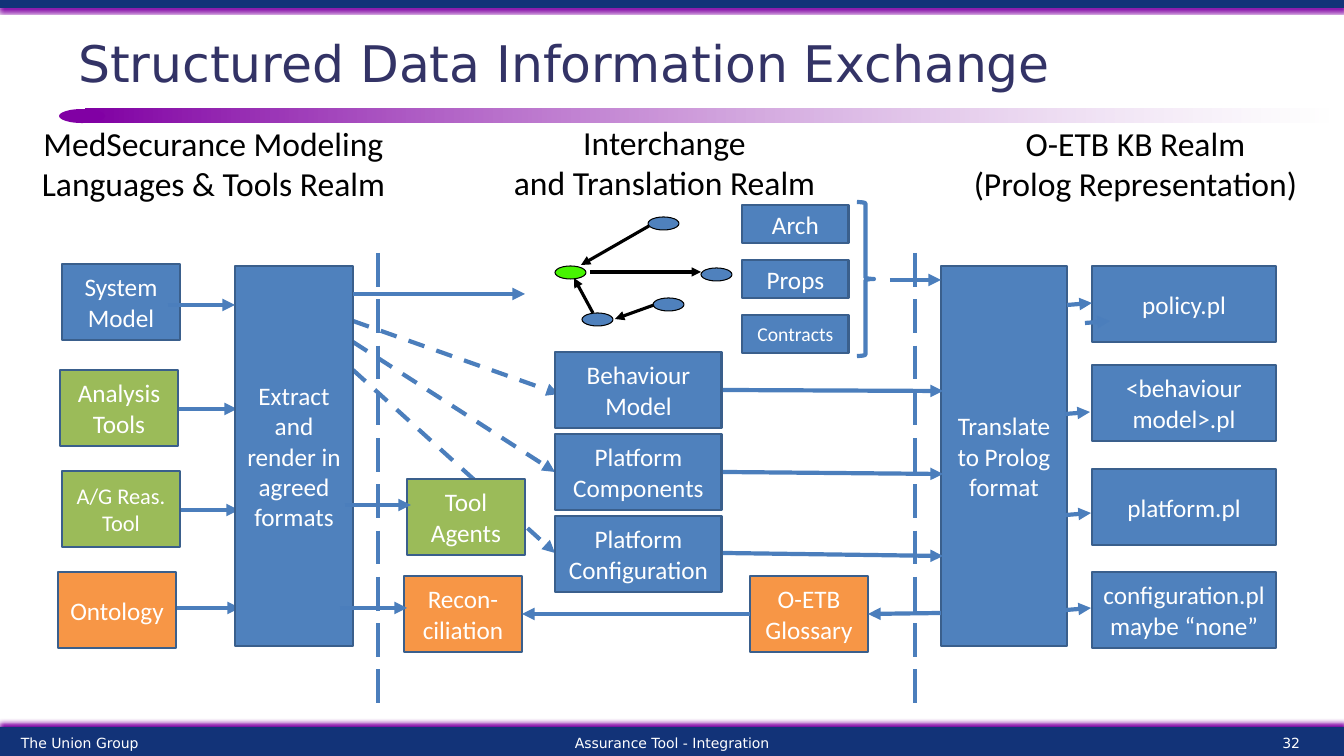
from lxml import etree
from pptx import Presentation
from pptx.dml.color import RGBColor
from pptx.enum.dml import MSO_LINE
from pptx.enum.shapes import MSO_CONNECTOR, MSO_SHAPE
from pptx.enum.text import MSO_ANCHOR, PP_ALIGN
from pptx.oxml.ns import qn
from pptx.util import Emu, Pt

EMU_PER_PX = 914400 / 100.8
BLUE, GREEN, ORANGE = "4F81BD", "9BBB59", "F79646"
ARROW, BORDER = "4B7EBC", "3A5F8C"
NAVY, PURPLE = "123378", "8100A4"


def px(n):
    return Emu(round(n * EMU_PER_PX))


def rgb(value):
    return RGBColor.from_string(value)


def write(tf, text, size=18, font="Calibri", color="FFFFFF",
          align=PP_ALIGN.CENTER, anchor=MSO_ANCHOR.MIDDLE, wrap=True):
    tf.word_wrap = wrap
    tf.vertical_anchor = anchor
    p = tf.paragraphs[0]
    p.text = text
    p.alignment = align
    for r in p.runs:
        r.font.size = Pt(size)
        r.font.name = font
        r.font.color.rgb = rgb(color)


class Deck:
    heading_font = "DejaVu Sans"

    def __init__(self, width, height):
        self.prs = Presentation()
        self.prs.slide_width, self.prs.slide_height = px(width), px(height)
        self.s = self.prs.slides.add_slide(self.prs.slide_layouts[5])

    def title(self, text, x, y, w, h):
        sp = self.s.shapes.title
        sp.left, sp.top, sp.width, sp.height = px(x), px(y), px(w), px(h)
        write(sp.text_frame, text, size=36, font=self.heading_font,
              color="333366", align=PP_ALIGN.LEFT)

    def shape(self, kind, x, y, w, h, fill=None, line=None, weight=2):
        sp = self.s.shapes.add_shape(kind, px(x), px(y), px(w), px(h))
        sp.shadow.inherit = False
        if fill:
            sp.fill.solid()
            sp.fill.fore_color.rgb = rgb(fill)
        else:
            sp.fill.background()
        if line:
            sp.line.color.rgb = rgb(line)
            sp.line.width = Pt(weight)
        else:
            sp.line.fill.background()
        return sp

    def box(self, text, x, y, w=118, h=76, fill=BLUE, size=18):
        sp = self.shape(MSO_SHAPE.RECTANGLE, x, y, w, h, fill, BORDER)
        write(sp.text_frame, text, size=size)

    def bar(self, y, h, distance, angle):
        sp = self.shape(MSO_SHAPE.RECTANGLE, 0, y, 1344, h, NAVY)
        effects = sp._element.spPr.find(qn("a:effectLst"))
        shadow = etree.SubElement(effects, qn("a:outerShdw"), blurRad=str(Pt(3)),
                                  dist=str(Pt(distance)), dir=str(angle * 60000))
        etree.SubElement(shadow, qn("a:srgbClr"), val=PURPLE)

    def rule(self, x, y, w, h):
        sp = self.shape(MSO_SHAPE.RECTANGLE, x, y, w, h, PURPLE)
        sp.fill.gradient()
        sp.fill.gradient_angle = 0
        for stop, color in zip(sp.fill.gradient_stops, (PURPLE, "FFFFFF")):
            stop.color.rgb = rgb(color)
        white = sp._element.spPr.findall(".//" + qn("a:srgbClr"))[-1]
        etree.SubElement(white, qn("a:alpha"), val="50000")

    def text(self, text, x, y, w, h, **fmt):
        sp = self.s.shapes.add_textbox(px(x), px(y), px(w), px(h))
        write(sp.text_frame, text, **fmt)

    def line(self, x1, y1, x2, y2, color=ARROW, weight=3, dash=None, arrow=True):
        c = self.s.shapes.add_connector(MSO_CONNECTOR.STRAIGHT,
                                        px(x1), px(y1), px(x2), px(y2))
        c.line.color.rgb = rgb(color)
        c.line.width = Pt(weight)
        if dash:
            c.line.dash_style = dash
        if arrow:
            etree.SubElement(c.line._get_or_add_ln(), qn("a:tailEnd"), type="triangle")
        etree.SubElement(c._element.spPr, qn("a:effectLst"))


def add_frame(deck):
    deck.bar(0, 8, 2, 90)
    deck.bar(727, 29, 3, 270)
    deck.rule(85, 109, 1244, 14)
    deck.shape(MSO_SHAPE.OVAL, 59, 109, 46, 14, PURPLE)
    deck.title("Structured Data Information Exchange", 68, 15, 1109, 95)
    for text, x, w, align in (("The Union Group", 11, 313, PP_ALIGN.LEFT),
                              ("Assurance Tool - Integration", 336, 672, PP_ALIGN.CENTER),
                              ("32", 1153, 157, PP_ALIGN.RIGHT)):
        deck.text(text, x, 730, w, 26, size=10, font=deck.heading_font, align=align)


def add_realms(deck):
    for text, x, y, w in (("MedSecurance Modeling\nLanguages & Tools Realm", 30, 118, 367),
                          ("Interchange\nand Translation Realm", 502, 117, 325),
                          ("O-ETB KB Realm\n(Prolog Representation)", 962, 118, 347)):
        deck.text(text, x, y, w, 92, size=24, color="000000",
                  anchor=MSO_ANCHOR.TOP, wrap=False)
    for x in (378, 915):
        deck.line(x, 253, x, 714, dash=MSO_LINE.LONG_DASH, arrow=False)


def add_graph(deck):
    for x, y, fill in ((555, 266, "47F402"), (582, 313, BLUE), (653, 298, BLUE),
                       (701, 268, BLUE), (648, 217, BLUE)):
        deck.shape(MSO_SHAPE.OVAL, x, y, 31, 13, fill, "000000", 0.75)
    for ends in ((649, 226, 581, 265), (590, 272, 701, 272),
                 (593, 313, 574, 278), (654, 305, 615, 319)):
        deck.line(*ends, color="000000", weight=2.25)


def add_boxes(deck):
    deck.box("System Model", 62, 264)
    deck.box("Analysis Tools", 60, 370, fill=GREEN)
    deck.box("A/G Reas. Tool", 62, 471, fill=GREEN, size=16)
    deck.box("Ontology", 58, 572, fill=ORANGE)
    deck.box("Extract and render in agreed formats", 235, 266, h=380)
    deck.box("Translate to Prolog format", 941, 266, w=126, h=380)
    deck.box("Tool Agents", 407, 479, fill=GREEN)
    deck.box("Recon-ciliation", 404, 576, fill=ORANGE)
    deck.box("O-ETB Glossary", 750, 576, fill=ORANGE)
    for i, text in enumerate(("Behaviour Model", "Platform Components",
                              "Platform Configuration")):
        deck.box(text, 555, 352 + 82 * i, w=167)
    for i, (text, size) in enumerate((("Arch", 18), ("Props", 18), ("Contracts", 14))):
        deck.box(text, 742, 205 + 55 * i, w=107, h=38, size=size)
    for text, y in (("policy.pl", 266), ("<behaviour model>.pl", 365),
                    ("platform.pl", 469), ("configuration.pl\nmaybe “none”", 572)):
        deck.box(text, 1092, y, w=184)
    deck.shape(MSO_SHAPE.RIGHT_BRACE, 857, 202, 17, 154, line=ARROW, weight=3)


def add_rear_arrows(deck):
    for x, y in ((169, 409), (171, 510), (172, 608)):
        deck.line(x, y, x + 68, y)
    for y1, x2, y2 in ((321, 559, 394), (342, 555, 472), (370, 555, 553)):
        deck.line(353, y1, x2, y2, dash=MSO_LINE.DASH)


def add_front_arrows(deck):
    for x1, x2, y in ((168, 235, 305), (353, 525, 294), (890, 941, 280),
                      (345, 411, 505), (340, 407, 608), (750, 522, 614)):
        deck.line(x1, y, x2, y)
    for y1, y2 in ((390, 391), (472, 474), (553, 556)):
        deck.line(723, y1, 943, y2)
    for x, y in ((1067, 305), (1065, 414), (1085, 323), (1066, 515), (1066, 610)):
        deck.line(x, y, x + 25, y - 2)
    deck.line(941, 613, 868, 614)


def main():
    deck = Deck(1344, 756)
    add_frame(deck)
    add_rear_arrows(deck)
    add_realms(deck)
    add_boxes(deck)
    add_graph(deck)
    add_front_arrows(deck)
    deck.prs.save("out.pptx")


if __name__ == "__main__":
    main()
